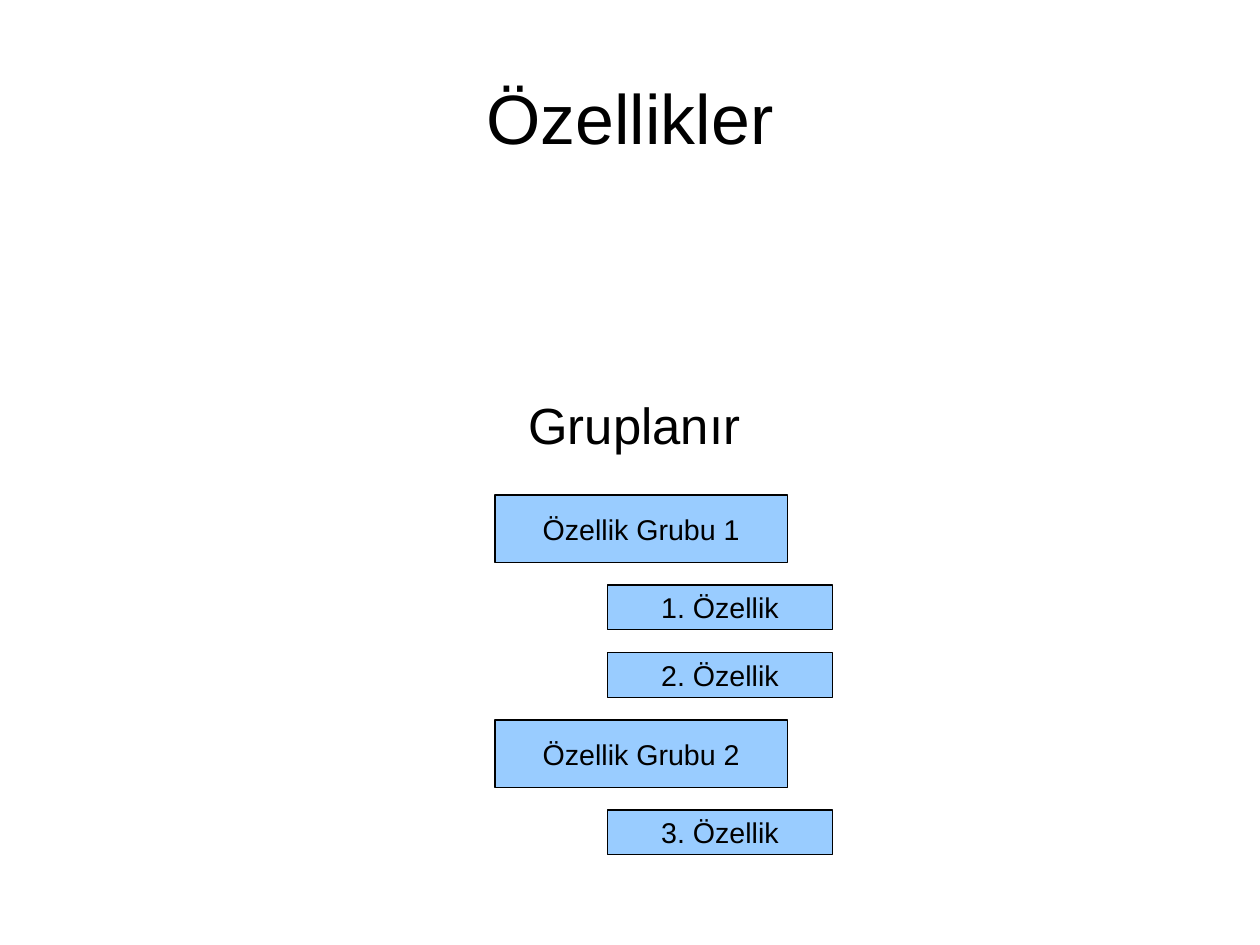
from pptx import Presentation
from pptx.dml.color import RGBColor
from pptx.enum.shapes import MSO_SHAPE
from pptx.enum.text import MSO_ANCHOR, PP_ALIGN
from pptx.util import Emu, Pt

EMU_PER_PX = 3600
FONT = "Arial"
COLORS = {"background": "FFFFFF", "text": "000000", "box": "99CCFF", "outline": "000000"}
GROUP = {"left": 1100, "width": 650, "height": 150}
FEATURE = {"left": 1350, "width": 500, "height": 100}
ROWS = [
    ("Özellik Grubu 1", GROUP),
    ("1. Özellik", FEATURE),
    ("2. Özellik", FEATURE),
    ("Özellik Grubu 2", GROUP),
    ("3. Özellik", FEATURE),
]
FIRST_ROW_TOP = 1100
ROW_GAP = 50


def px(length):
    return Emu(length * EMU_PER_PX)


def color(name):
    return RGBColor.from_string(COLORS[name])


def write_text(shape, text, size, margins=(0, 0), wrap=True):
    frame = shape.text_frame
    frame.word_wrap = wrap
    frame.vertical_anchor = MSO_ANCHOR.MIDDLE
    frame.margin_left = frame.margin_right = px(margins[0])
    frame.margin_top = frame.margin_bottom = px(margins[1])
    paragraph = frame.paragraphs[0]
    paragraph.alignment = PP_ALIGN.CENTER
    run = paragraph.add_run()
    run.text = text
    run.font.name = FONT
    run.font.size = Pt(size)
    run.font.color.rgb = color("text")


def set_title(slide, text, left, top, width, height):
    title = slide.shapes.title
    title.left, title.top = px(left), px(top)
    title.width, title.height = px(width), px(height)
    write_text(title, text, 44)


def add_subtitle(slide, text, left, top, width, height):
    subtitle = slide.shapes.add_textbox(px(left), px(top), px(width), px(height))
    write_text(subtitle, text, 32)


def add_box(slide, text, left, top, width, height):
    shape = slide.shapes.add_shape(
        MSO_SHAPE.RECTANGLE, px(left), px(top), px(width), px(height)
    )
    shape.shadow.inherit = False
    shape.fill.solid()
    shape.fill.fore_color.rgb = color("box")
    shape.line.color.rgb = color("outline")
    shape.line.width = Pt(0)
    write_text(shape, text, 18, margins=(25, 13), wrap=False)


def add_feature_list(slide):
    top = FIRST_ROW_TOP
    for text, box in ROWS:
        add_box(slide, text, top=top, **box)
        top += box["height"] + ROW_GAP


def main():
    presentation = Presentation()
    presentation.slide_width = px(2800)
    presentation.slide_height = px(2100)
    slide = presentation.slides.add_slide(presentation.slide_layouts[5])
    slide.background.fill.solid()
    slide.background.fill.fore_color.rgb = color("background")
    set_title(slide, "Özellikler", 140, 84, 2520, 351)
    add_subtitle(slide, "Gruplanır", 150, 333, 2520, 1219)
    add_feature_list(slide)
    presentation.save("out.pptx")


if __name__ == "__main__":
    main()
